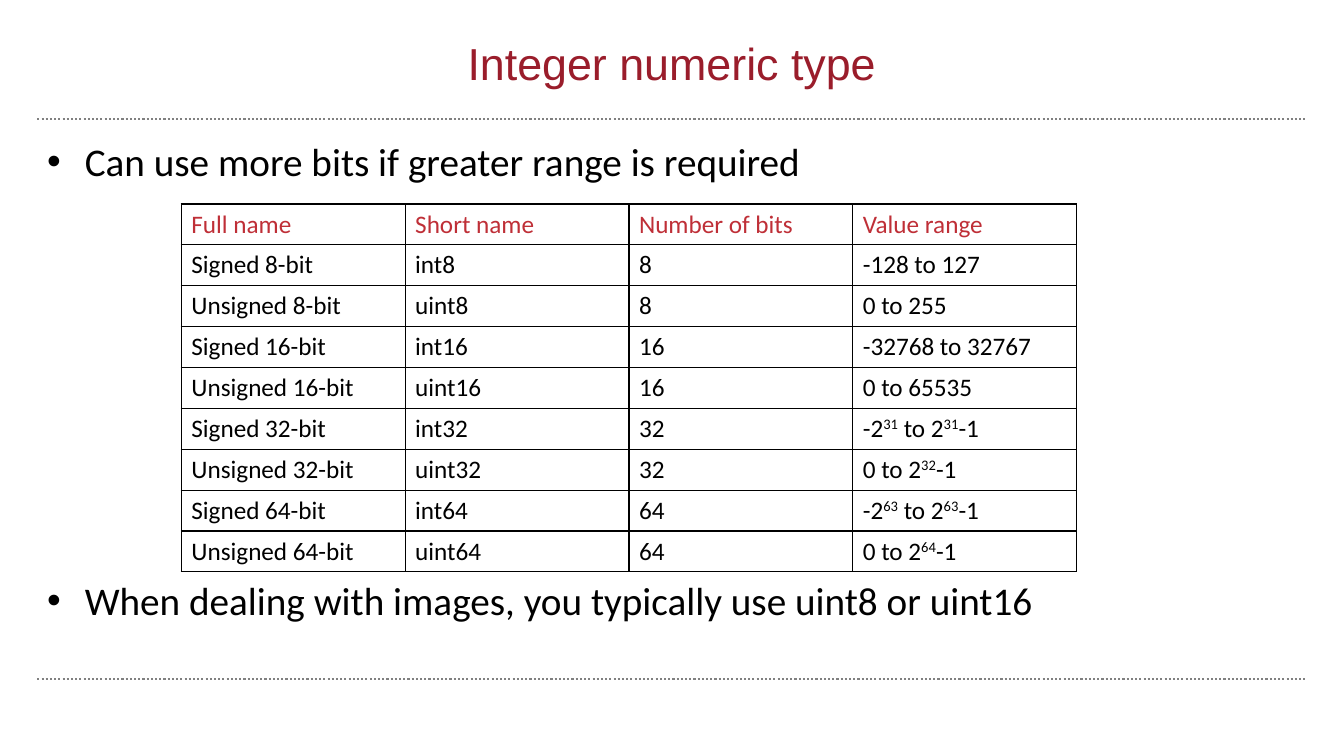
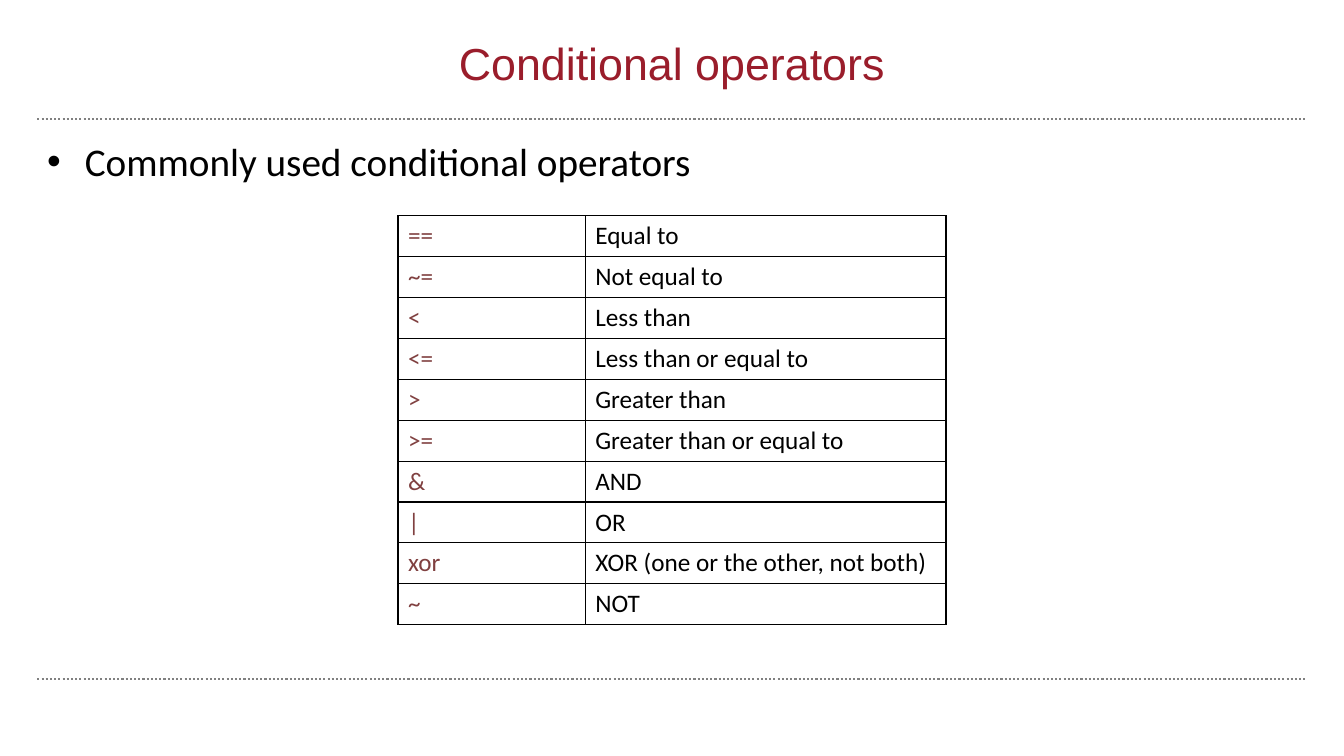
from lxml.etree import SubElement
from pptx import Presentation
from pptx.dml.color import RGBColor
from pptx.enum.dml import MSO_LINE_DASH_STYLE as Dash
from pptx.enum.shapes import MSO_CONNECTOR as Connector
from pptx.enum.text import MSO_ANCHOR as Anchor, PP_ALIGN as Align
from pptx.oxml import parse_xml
from pptx.oxml.ns import nsdecls, qn
from pptx.util import Cm, Pt

COLORS = {
    "title": "9A1D2B",
    "text": "000000",
    "rule": "808080",
    "border": "000000",
    "header": "BF2F37",
    "operator": "804040",
}
TITLE_FONT, BODY_FONT = "Arial", "Calibri"
MARGIN, CONTENT_WIDTH = 0.94, 32.0
RULE_TOPS = (3.0, 17.12)
ROW_HEIGHT = 1.03
BULLET_INDENT = 0.95

INTEGER_TYPES = [
    ("Full name", "Short name", "Number of bits", "Value range"),
    ("Signed 8-bit", "int8", "8", "-128 to 127"),
    ("Unsigned 8-bit", "uint8", "8", "0 to 255"),
    ("Signed 16-bit", "int16", "16", "-32768 to 32767"),
    ("Unsigned 16-bit", "uint16", "16", "0 to 65535"),
    ("Signed 32-bit", "int32", "32", "-2^31^ to 2^31^-1"),
    ("Unsigned 32-bit", "uint32", "32", "0 to 2^32^-1"),
    ("Signed 64-bit", "int64", "64", "-2^63^ to 2^63^-1"),
    ("Unsigned 64-bit", "uint64", "64", "0 to 2^64^-1"),
]
OPERATORS = [
    ("==", "Equal to"),
    ("~=", "Not equal to"),
    ("<", "Less than"),
    ("<=", "Less than or equal to"),
    (">", "Greater than"),
    (">=", "Greater than or equal to"),
    ("&", "AND"),
    ("|", "OR"),
    ("xor", "XOR (one or the other, not both)"),
    ("~", "NOT"),
]


def rgb(name):
    return RGBColor.from_string(COLORS[name])


def write(frame, text, size=18, color="text", font=BODY_FONT, align=Align.LEFT):
    """Fill the first paragraph; text between a pair of ^ is superscript."""
    paragraph = frame.paragraphs[0]
    paragraph.alignment = align
    for index, part in enumerate(text.split("^")):
        run = paragraph.add_run()
        run.text = part
        run.font.size = Pt(size)
        run.font.name = font
        run.font.color.rgb = rgb(color)
        if index % 2:
            run._r.get_or_add_rPr().set("baseline", "30000")
    return paragraph


def add_frame(slide, left, top, width, height, anchor=Anchor.TOP):
    box = slide.shapes.add_textbox(Cm(left), Cm(top), Cm(width), Cm(height))
    frame = box.text_frame
    frame.word_wrap = True
    frame.vertical_anchor = anchor
    return frame


def add_rule(slide, top):
    rule = slide.shapes.add_connector(
        Connector.STRAIGHT, Cm(MARGIN), Cm(top), Cm(MARGIN + CONTENT_WIDTH), Cm(top)
    )
    rule.line.color.rgb = rgb("rule")
    rule.line.width = Pt(1.5)
    rule.line.dash_style = Dash.ROUND_DOT
    SubElement(rule._element.spPr, qn("a:effectLst"))


def add_titled_slide(deck, title):
    slide = deck.slides.add_slide(deck.slide_layouts[6])
    for top in RULE_TOPS:
        add_rule(slide, top)
    frame = add_frame(slide, 6.71, 0.71, 20.45, 1.68, Anchor.BOTTOM)
    write(frame, title, size=32, color="title", font=TITLE_FONT, align=Align.CENTER)
    return slide


def add_bullet(slide, text, top):
    frame = add_frame(slide, MARGIN, top, CONTENT_WIDTH, 1.45)
    properties = write(frame, text, size=28)._p.get_or_add_pPr()
    properties.set("marL", str(Cm(BULLET_INDENT)))
    properties.set("indent", str(-Cm(BULLET_INDENT)))
    SubElement(properties, qn("a:buFont")).set("typeface", "Arial")
    SubElement(properties, qn("a:buChar")).set("char", "•")


def set_borders(cell):
    properties = cell._tc.get_or_add_tcPr()
    for position, side in enumerate(("lnL", "lnR", "lnT", "lnB")):
        border = parse_xml(
            f'<a:{side} {nsdecls("a")} w="{Pt(1)}"><a:solidFill>'
            f'<a:srgbClr val="{COLORS["border"]}"/></a:solidFill></a:{side}>'
        )
        properties.insert(position, border)


def add_grid(slide, rows, left, top, widths, color_of):
    """Draw a bordered table; color_of(row, column) names the text colour."""
    table = slide.shapes.add_table(
        len(rows), len(widths), Cm(left), Cm(top),
        Cm(sum(widths)), Cm(ROW_HEIGHT * len(rows)),
    ).table
    table.first_row = table.horz_banding = False
    for column, width in zip(table.columns, widths):
        column.width = Cm(width)
    for r, texts in enumerate(rows):
        table.rows[r].height = Cm(ROW_HEIGHT)
        for c, text in enumerate(texts):
            cell = table.cell(r, c)
            cell.fill.background()
            set_borders(cell)
            write(cell.text_frame, text, color=color_of(r, c))


def build_integer_types(deck):
    slide = add_titled_slide(deck, "Integer numeric type")
    add_bullet(slide, "Can use more bits if greater range is required", 3.33)
    add_bullet(slide, "When dealing with images, you typically use uint8 or uint16", 14.39)
    add_grid(slide, INTEGER_TYPES, 4.57, 5.14, [5.64] * 4,
             lambda row, column: "text" if row else "header")


def build_operators(deck):
    slide = add_titled_slide(deck, "Conditional operators")
    add_bullet(slide, "Commonly used conditional operators", 3.33)
    add_grid(slide, OPERATORS, 10.03, 5.44, [4.72, 9.09],
             lambda row, column: "text" if column else "operator")


def main():
    deck = Presentation()
    deck.slide_width, deck.slide_height = Cm(33.87), Cm(19.05)
    build_integer_types(deck)
    build_operators(deck)
    deck.save("out.pptx")


if __name__ == "__main__":
    main()
